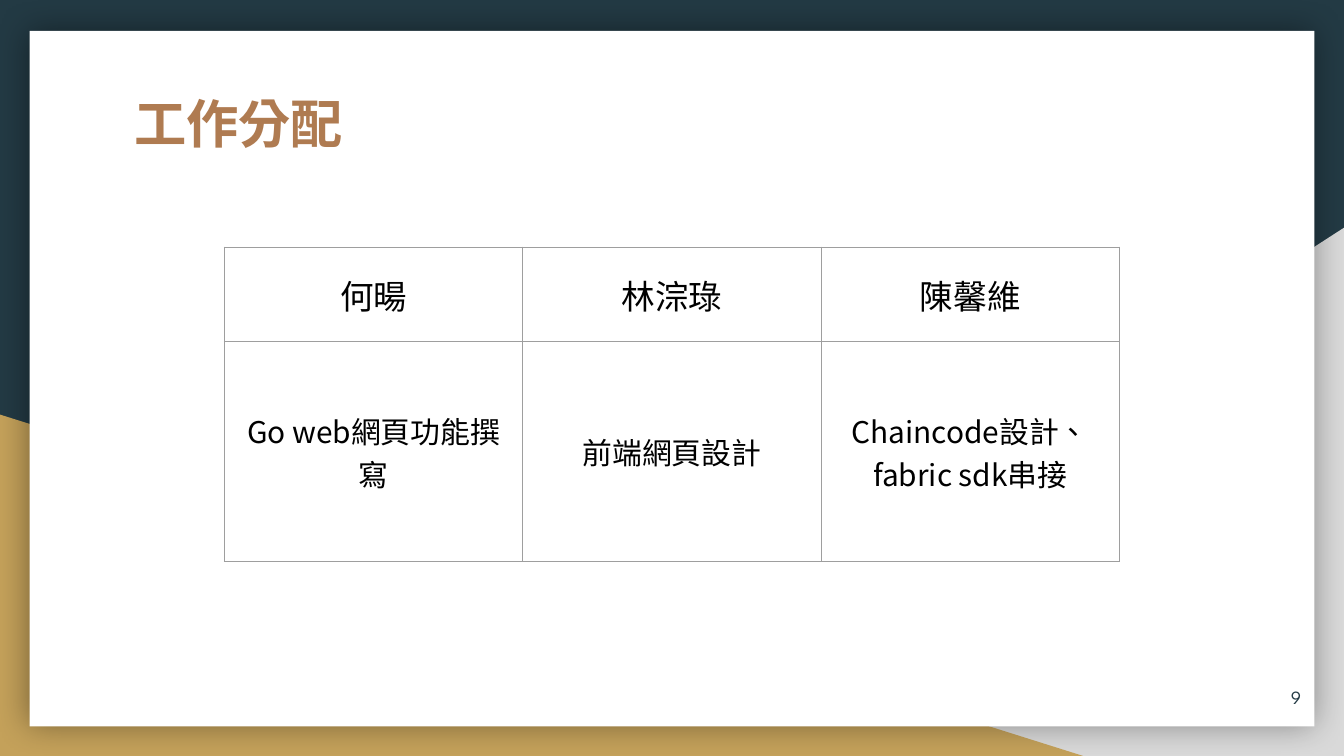
from dataclasses import dataclass

from lxml import etree
from pptx import Presentation
from pptx import util as u
from pptx.dml.color import RGBColor
from pptx.enum import shapes, text
from pptx.oxml import ns


@dataclass(frozen=True)
class Theme:
    """Colours, fonts, language and type sizes of the slide."""
    navy: str = "233A44"
    gold: str = "C4A15A"
    grey: str = "D9D9D9"
    white: str = "FFFFFF"
    black: str = "000000"
    copper: str = "AF7B51"
    border: str = "9E9E9E"
    body_font: str = "Noto Sans CJK SC"
    number_font: str = "League Spartan"
    language: str = "zh-TW"
    title_size: int = 28
    name_size: int = 18
    task_size: int = 16
    number_size: int = 10
    border_width: float = 0.75


THEME = Theme()
MARGIN = u.Inches(0.1)


def add_element(parent, tag, **attributes):
    """Append a drawing element with the given attributes."""
    element = etree.SubElement(parent, ns.qn(tag))
    for name, value in attributes.items():
        element.set(name, str(value))
    return element


def inches(box):
    """Turn a box in inches into slide lengths."""
    return [u.Inches(length) for length in box]


def add_panel(slide, kind, box, color):
    """Add a plain filled shape without outline."""
    panel = slide.shapes.add_shape(kind, *inches(box))
    panel.shadow.inherit = False
    panel.fill.solid()
    panel.fill.fore_color.rgb = RGBColor.from_string(color)
    panel.line.fill.background()
    return panel


def write_text(frame, words, size, color, font, align, bold=False):
    """Write one styled run into the first paragraph of a frame."""
    paragraph = frame.paragraphs[0]
    paragraph.alignment = align
    run = paragraph.add_run()
    run.text = words
    run.font.size = u.Pt(size)
    run.font.bold = bold
    run.font.name = font
    run.font.color.rgb = RGBColor.from_string(color)
    run.font._element.set("lang", THEME.language)
    add_element(run.font._element, "a:ea", typeface=font)


def add_label(slide, box, anchor, *style, **options):
    """Add a text box with even margins."""
    frame = slide.shapes.add_textbox(*inches(box)).text_frame
    frame.word_wrap = True
    frame.vertical_anchor = anchor
    frame.margin_left = frame.margin_right = MARGIN
    frame.margin_top = frame.margin_bottom = MARGIN
    write_text(frame, *style, **options)


def add_backdrop(slide, box):
    """Add the corner triangles and the white sheet with its soft shadow."""
    left, top, width, height = box
    triangle = shapes.MSO_SHAPE.RIGHT_TRIANGLE
    right_corner = add_panel(
        slide, triangle, (left + width - 6.08, top + height - 3.93, 6.08, 3.93), THEME.grey)
    right_corner._element.spPr.find(ns.qn("a:xfrm")).set("flipH", "1")
    add_panel(slide, triangle, (left, top + height - 2.54, 8.06, 2.54), THEME.gold)
    sheet = add_panel(slide, shapes.MSO_SHAPE.RECTANGLE,
                      (left + 0.22, top + 0.23, width - 0.44, height - 0.45), THEME.white)
    effects = sheet._element.spPr.find(ns.qn("a:effectLst"))
    shadow = add_element(effects, "a:outerShdw", blurRad=u.Pt(18), dist=0, dir=0,
                         algn="ctr", rotWithShape=0)
    color = add_element(shadow, "a:srgbClr", val=THEME.black)
    add_element(color, "a:alpha", val=40000)


def set_borders(cell):
    """Draw a thin line on each side of a cell."""
    properties = cell._tc.get_or_add_tcPr()
    for index, side in enumerate("LRTB"):
        line = add_element(properties, f"a:ln{side}", w=u.Pt(THEME.border_width))
        fill = add_element(line, "a:solidFill")
        add_element(fill, "a:srgbClr", val=THEME.border)
        properties.insert(index, line)


def add_work_table(slide, box, rows, heights):
    """Add the table of members and their tasks."""
    columns = len(rows[0])
    table = slide.shapes.add_table(len(rows), columns, *inches(box)).table
    table.first_row = table.horz_banding = False
    for column in table.columns:
        column.width = u.Inches(box[2] / columns)
    sizes = (THEME.name_size, THEME.task_size)
    for row, words, height, size in zip(table.rows, rows, heights, sizes):
        row.height = u.Inches(height)
        for cell, entry in zip(row.cells, words):
            cell.fill.background()
            cell.vertical_anchor = text.MSO_ANCHOR.MIDDLE
            cell.margin_left = cell.margin_right = MARGIN
            cell.margin_top = cell.margin_bottom = MARGIN
            set_borders(cell)
            write_text(cell.text_frame, entry, size, THEME.black, THEME.body_font,
                       text.PP_ALIGN.CENTER)


def add_work_slide(presentation, box):
    """Build the slide that shares out the work."""
    slide = presentation.slides.add_slide(presentation.slide_layouts[6])
    slide.background.fill.solid()
    slide.background.fill.fore_color.rgb = RGBColor.from_string(THEME.navy)
    left, top, width, height = box
    add_backdrop(slide, box)
    add_label(slide, (left + width - 0.82, top + height - 0.65, 0.6, 0.43),
              text.MSO_ANCHOR.MIDDLE, "9", THEME.number_size, THEME.navy,
              THEME.number_font, text.PP_ALIGN.RIGHT)
    add_label(slide, (left + 0.9, top + 0.58, 6.5, 1.04), text.MSO_ANCHOR.TOP,
              "工作分配", THEME.title_size, THEME.copper, THEME.body_font,
              text.PP_ALIGN.LEFT, bold=True)
    rows = (("何暘", "林淙琭", "陳馨維"),
            ("Go web網頁功能撰寫", "前端網頁設計", "Chaincode設計、fabric sdk串接"))
    add_work_table(slide, (left + 1.67, top + 1.84, 6.66, 2.34), rows, (0.7, 1.64))


def main():
    """Create and save the presentation."""
    presentation = Presentation()
    width = 10
    height = width * 9 / 16
    presentation.slide_width = u.Inches(width)
    presentation.slide_height = u.Inches(height)
    add_work_slide(presentation, (0, 0, width, height))
    presentation.save("out.pptx")


main()
